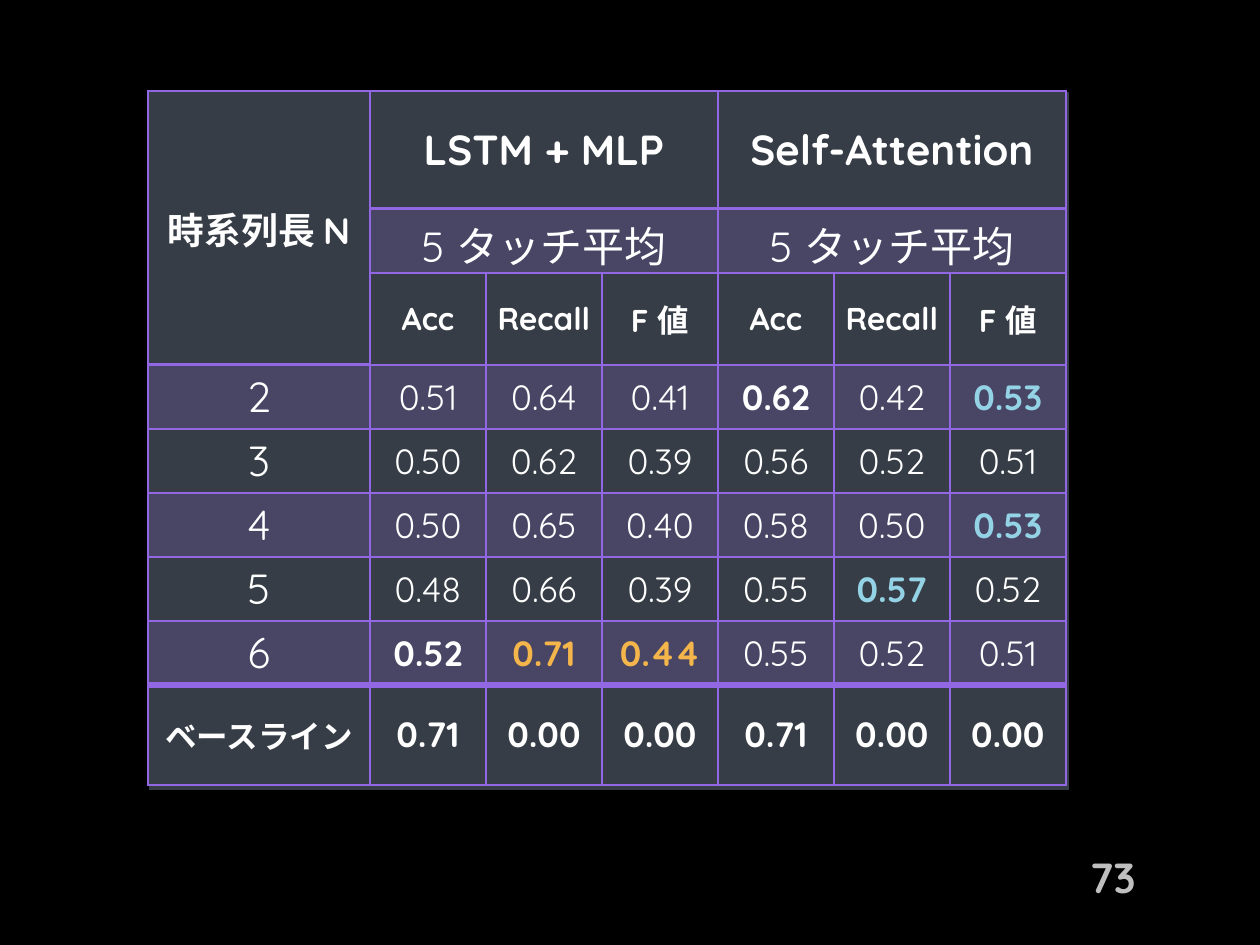
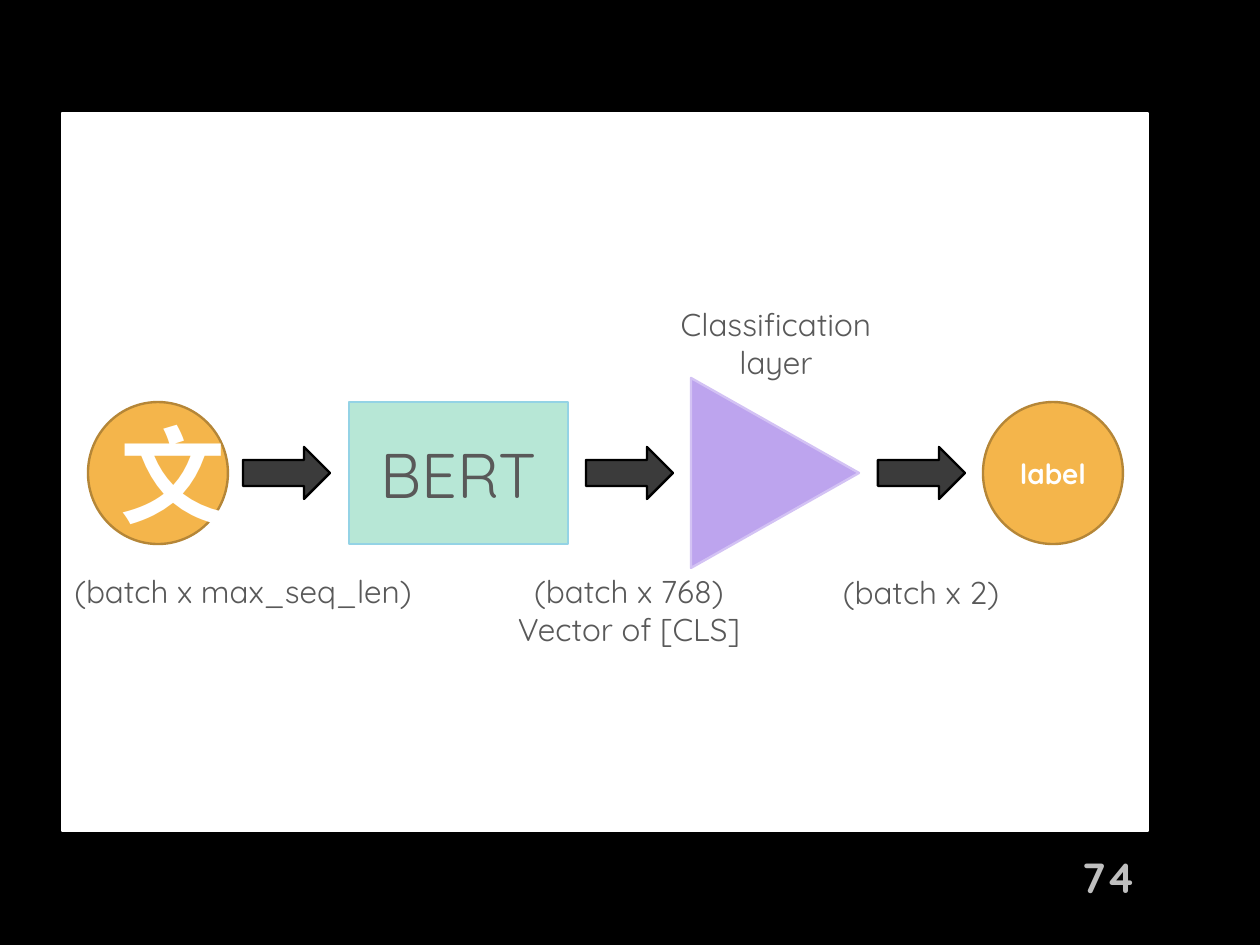
from lxml.etree import SubElement
from pptx import Presentation
from pptx.dml.color import RGBColor
from pptx.enum.shapes import MSO_SHAPE as SHAPE
from pptx.enum.text import MSO_ANCHOR as ANCHOR, PP_ALIGN as ALIGN
from pptx.oxml.ns import qn
from pptx.util import Pt

PX = 914400 / 126
FONT = "Quicksand"
BLACK = RGBColor(0x00, 0x00, 0x00)
WHITE = RGBColor(0xFF, 0xFF, 0xFF)
SILVER = RGBColor(0xBF, 0xBF, 0xBF)
GRAY = RGBColor(0x59, 0x59, 0x59)
CHARCOAL = RGBColor(0x3B, 0x3B, 0x3B)
SLATE = RGBColor(0x36, 0x3D, 0x46)
PURPLE = RGBColor(0x91, 0x67, 0xE3)
LILAC = RGBColor(0xBD, 0xA4, 0xEE)
PALE_LILAC = RGBColor(0xD3, 0xC2, 0xF4)
SKY = RGBColor(0x94, 0xD3, 0xE5)
MINT = RGBColor(0xB7, 0xE7, 0xD6)
ORANGE = RGBColor(0xF4, 0xB5, 0x4B)
BROWN = RGBColor(0xB5, 0x86, 0x37)

HEADER_ROWS = [
    ["時系列長 N", "LSTM + MLP", "", "", "Self-Attention", "", ""],
    ["", "5 タッチ平均", "", "", "5 タッチ平均", "", ""],
    [""] + ["Acc", "Recall", "F 値"] * 2,
]
SCORE_ROWS = [
    ["2", "0.51", "0.64", "0.41", "0.62", "0.42", "0.53"],
    ["3", "0.50", "0.62", "0.39", "0.56", "0.52", "0.51"],
    ["4", "0.50", "0.65", "0.40", "0.58", "0.50", "0.53"],
    ["5", "0.48", "0.66", "0.39", "0.55", "0.57", "0.52"],
    ["6", "0.52", "0.71", "0.44", "0.55", "0.52", "0.51"],
]
BASELINE_ROW = ["ベースライン"] + ["0.71", "0.00", "0.00"] * 2
RESULTS = HEADER_ROWS + SCORE_ROWS + [BASELINE_ROW]
BASELINE = len(RESULTS) - 1
MERGES = [(0, 0, 2, 0)] + [(r, c, r, c + 2) for r in (0, 1) for c in (1, 4)]
BEST = {(3, 4): WHITE, (7, 1): WHITE, (3, 6): SKY, (5, 6): SKY,
        (6, 5): SKY, (7, 2): ORANGE, (7, 3): ORANGE}


def px(*lengths):
    return [round(n * PX) for n in lengths]


def write(tf, text, size, color, bold=False, align=ALIGN.CENTER):
    p = tf.paragraphs[0]
    p.alignment = align
    r = p.add_run()
    r.text = text
    r.font.color.rgb = color
    for key, value in {"name": FONT, "size": Pt(size), "bold": bold}.items():
        setattr(r.font, key, value)


def add_box(shapes, kind, box, fill, line):
    sp = shapes.add_shape(kind, *px(*box))
    sp.shadow.inherit = False
    sp.fill.solid()
    sp.fill.fore_color.rgb = fill
    sp.line.color.rgb = line
    sp.line.width = Pt(1.35)
    return sp


def add_label(shapes, box, text, size, color, anchor=ANCHOR.TOP, **style):
    tf = shapes.add_textbox(*px(*box)).text_frame
    tf.word_wrap = True
    tf.vertical_anchor = anchor
    write(tf, text, size, color, **style)


def add_page(prs, number):
    s = prs.slides.add_slide(prs.slide_layouts[6])
    add_label(s.shapes, (984, 852, 164, 50), str(number), 24, SILVER,
              ANCHOR.MIDDLE, bold=True, align=ALIGN.RIGHT)
    return s


# Results table
def rule_above(row, col):
    """Width in points of the rule above a cell."""
    if row == BASELINE:
        return 4
    return 2 if (row == 1 and col > 0) or (row == 3 and col == 0) else 1


def set_borders(cell, row, col):
    tcPr = cell._tc.get_or_add_tcPr()
    below = row + (cell.span_height if cell.is_merge_origin else 1)
    widths = {"lnL": 1, "lnR": 1, "lnT": rule_above(row, col),
              "lnB": rule_above(below, col)}
    for side, width in widths.items():
        ln = SubElement(tcPr, qn(f"a:{side}"), w=str(Pt(width)))
        fill = SubElement(ln, qn("a:solidFill"))
        SubElement(fill, qn("a:srgbClr"), val=str(PURPLE))


def set_fill(cell, row):
    if row % 2 == 0:
        cell.fill.background()
        return
    cell.fill.solid()
    cell.fill.fore_color.rgb = PURPLE
    clr = cell._tc.tcPr.find(qn("a:solidFill")).find(qn("a:srgbClr"))
    SubElement(clr, qn("a:alpha"), val="20000")


def cell_style(row, col):
    """Size and boldness of a cell's text."""
    if row < 3:
        size = 21 if col == 0 else (24, 24, 18)[row]
        return size, row != 1
    if row == BASELINE:
        return (20 if col else 18), True
    return (20 if col else 24), (row, col) in BEST


def fill_cell(cell, row, col):
    set_borders(cell, row, col)
    set_fill(cell, row)
    is_score = 3 <= row < BASELINE and col > 0
    left, top, right, bottom = px(*((1, 1, 1, 0) if is_score else (9, 5, 9, 5)))
    layout = {"margin_left": left, "margin_top": top, "margin_right": right,
              "margin_bottom": bottom, "vertical_anchor": ANCHOR.MIDDLE}
    for key, value in layout.items():
        setattr(cell, key, value)
    if RESULTS[row][col]:
        size, bold = cell_style(row, col)
        color = BEST.get((row, col), WHITE)
        write(cell.text_frame, RESULTS[row][col], size, color, bold)


def add_results(s, x, y, w, h):
    add_box(s.shapes, SHAPE.RECTANGLE, (x, y, w, h), SLATE, BLACK)
    widths = [222] + [116] * 6
    heights = [118, 64, 92] + [64] * 5 + [100]
    frame = s.shapes.add_table(len(heights), len(widths),
                               *px(x, y, sum(widths), sum(heights)))
    table = frame.table
    table.first_row = table.horz_banding = False
    for column, width in zip(table.columns, px(*widths)):
        column.width = width
    for row, height in zip(table.rows, px(*heights)):
        row.height = height
    for r1, c1, r2, c2 in MERGES:
        table.cell(r1, c1).merge(table.cell(r2, c2))
    for row in range(len(heights)):
        for col in range(len(widths)):
            fill_cell(table.cell(row, col), row, col)


# Classifier diagram
def add_classifier(s, x, y, w, h):
    shapes = s.shapes.add_group_shape().shapes
    add_box(shapes, SHAPE.RECTANGLE, (x, y, w, h), WHITE, WHITE)

    # Input, encoder and output
    nodes = [
        (SHAPE.OVAL, 26, 140, ORANGE, BROWN, ("文", 60, WHITE, True)),
        (SHAPE.RECTANGLE, 287, 219, MINT, SKY, ("BERT", 36, GRAY)),
        (SHAPE.OVAL, 921, 140, ORANGE, BROWN, ("label", 16, WHITE, True)),
    ]
    for kind, dx, width, fill, line, text in nodes:
        sp = add_box(shapes, kind, (x + dx, y + 289, width, 142), fill, line)
        sp.text_frame.vertical_anchor = ANCHOR.MIDDLE
        write(sp.text_frame, *text)

    # Classification layer
    layer = add_box(shapes, SHAPE.ISOSCELES_TRIANGLE,
                    (x + 618, y + 276, 190, 168), LILAC, PALE_LILAC)
    layer.rotation = 90

    # Flow arrows
    for dx in (181, 524, 816):
        add_box(shapes, SHAPE.RIGHT_ARROW, (x + dx, y + 334, 87, 52),
                CHARCOAL, BLACK)

    # Captions
    captions = [
        ("Classification layer", 568, 186, 292, 89),
        ("(batch x max_seq_len)", -23, 453, 408, 50),
        ("(batch x 768)", 363, 453, 408, 50),
        ("Vector of [CLS]", 363, 491, 408, 50),
        ("(batch x 2)", 655, 454, 408, 50),
    ]
    for text, dx, dy, width, height in captions:
        add_label(shapes, (x + dx, y + dy, width, height), text, 18, GRAY)


def main():
    prs = Presentation()
    prs.slide_width, prs.slide_height = px(1260, 945)
    background = prs.slide_master.background.fill
    background.solid()
    background.fore_color.rgb = BLACK
    add_results(add_page(prs, 73), 148, 91, 922, 700)
    add_classifier(add_page(prs, 74), 62, 113, 1086, 718)
    prs.save("out.pptx")


if __name__ == "__main__":
    main()
